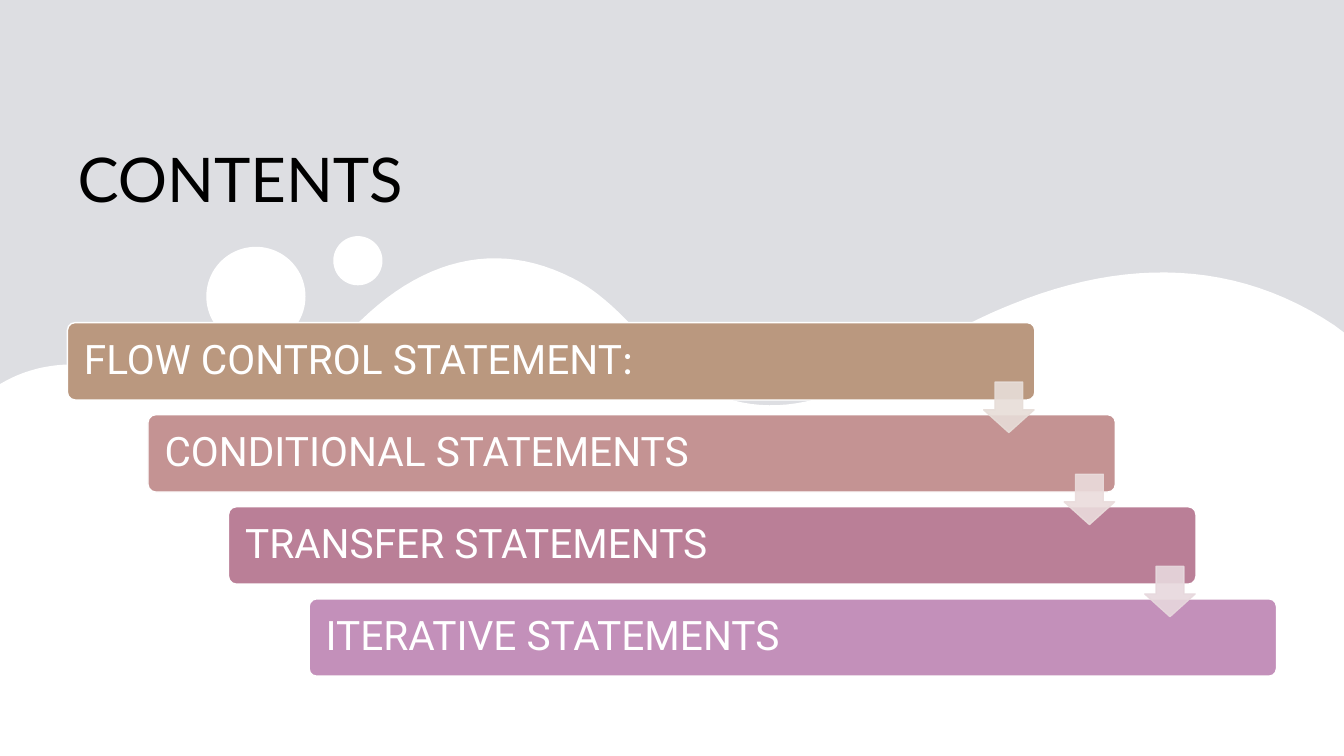
from lxml import etree
from pptx import Presentation
from pptx.dml.color import RGBColor
from pptx.enum.shapes import MSO_SHAPE
from pptx.enum.text import MSO_ANCHOR, MSO_AUTO_SIZE, PP_ALIGN
from pptx.oxml.ns import qn
from pptx.util import Cm, Pt

ROUNDED, ARROW, OVAL = MSO_SHAPE.ROUNDED_RECTANGLE, MSO_SHAPE.DOWN_ARROW, MSO_SHAPE.OVAL
MIDDLE, BOTTOM = MSO_ANCHOR.MIDDLE, MSO_ANCHOR.BOTTOM
LEFT = PP_ALIGN.LEFT

COLORS = {"background": "DDDEE2", "white": "FFFFFF", "title": "000000"}
WIDTH, HEIGHT = 33.87, 19.05


def paint(shape, fill, line=None):
    shape.shadow.inherit = False
    shape.fill.solid()
    shape.fill.fore_color.rgb = RGBColor.from_string(fill)
    if line:
        shape.line.color.rgb = RGBColor.from_string(line)
        shape.line.width = Pt(1)
    else:
        shape.line.fill.background()


def add_span(para, text, font, size, color):
    span = para.add_run()
    span.text = text
    span.font.name = font
    span.font.size = Pt(size)
    span.font.color.rgb = RGBColor.from_string(color)


deck = Presentation()
deck.slide_width, deck.slide_height = Cm(WIDTH), Cm(HEIGHT)
page = deck.slides.add_slide(deck.slide_layouts[5])
page.background.fill.solid()
page.background.fill.fore_color.rgb = RGBColor.from_string(COLORS["background"])

# Wave: each curve is two control points and an end point, in cm
wave_start = (0.18, 9.58)
wave_curves = [
    ((1.12, 9.09), (2.08, 9.12), (3.10, 9.32)),
    ((4.19, 9.55), (5.33, 9.73), (6.45, 9.73)),
    ((7.49, 9.75), (8.20, 8.97), (8.89, 8.28)),
    ((10.57, 6.53), (12.50, 6.02), (14.43, 7.01)),
    ((15.19, 7.39), (15.82, 8.08), (16.41, 8.74)),
    ((17.96, 10.49), (19.86, 10.54), (21.67, 9.63)),
    ((22.94, 8.99), (24.16, 8.20), (25.50, 7.67)),
    ((28.37, 6.50), (31.17, 6.55), (33.63, 8.20)),
]
STEPS = 24
outline = [(0, 9.68), wave_start]
for first, second, end in wave_curves:
    start = outline[-1]
    for step in range(1, STEPS + 1):
        t = step / STEPS
        outline.append(tuple(
            (1 - t) ** 3 * a + 3 * (1 - t) ** 2 * t * b + 3 * (1 - t) * t ** 2 * c + t ** 3 * d
            for a, b, c, d in zip(start, first, second, end)))
outline += [(WIDTH, 8.38), (WIDTH, HEIGHT), (0, HEIGHT)]
points = [(Cm(x), Cm(y)) for x, y in outline]
builder = page.shapes.build_freeform(*points[0])
builder.add_line_segments(points[1:], close=True)
paint(builder.convert_to_shape(), COLORS["white"])

for center_x, center_y, radius in [(6.45, 7.47), (9.02, 6.57)] and [(6.45, 7.47, 1.25), (9.02, 6.57, 0.62)]:
    bubble = page.shapes.add_shape(OVAL, Cm(center_x - radius), Cm(center_y - radius),
                                   Cm(2 * radius), Cm(2 * radius))
    paint(bubble, COLORS["white"])

title = page.shapes.title
title.left, title.top, title.width, title.height = Cm(1.7), Cm(1.55), Cm(30.48), Cm(4.01)
title.text_frame.auto_size = MSO_AUTO_SIZE.NONE
title.text_frame.vertical_anchor = BOTTOM
para = title.text_frame.paragraphs[0]
para.alignment = LEFT
para.line_spacing = 0.9
add_span(para, "CONTENTS", "Lato", 44, COLORS["title"])

# Staircase of bars, with an arrow from each bar to the next
BAR_LEFT, BAR_TOP, STEP_X, STEP_Y = 1.7, 8.13, 2.03, 2.32
bars = [
    ([("FLOW CONTROL STATEMENT", "Roboto"), (":", "Lato")], "BA987F"),
    ([("CONDITIONAL STATEMENTS", "Roboto")], "C49393"),
    ([("TRANSFER STATEMENTS", "Roboto")], "BA7F97"),
    ([("ITERATIVE STATEMENTS", "Roboto")], "C390BA"),
]
for index, (spans, color) in enumerate(bars):
    bar = page.shapes.add_shape(ROUNDED, Cm(BAR_LEFT + index * STEP_X),
                                Cm(BAR_TOP + index * STEP_Y), Cm(24.38), Cm(1.95))
    bar.adjustments[0] = 0.1
    paint(bar, color, COLORS["white"])
    frame = bar.text_frame
    frame.word_wrap = True
    frame.vertical_anchor = MIDDLE
    frame.margin_left = frame.margin_right = Cm(0.36)
    frame.margin_top = frame.margin_bottom = Cm(0.3)
    para = frame.paragraphs[0]
    para.alignment = LEFT
    para.line_spacing = 0.9
    for text, font in spans:
        add_span(para, text, font, 29, COLORS["white"])

for index, color in enumerate(["E7DDD8", "EADCDC", "E7D8DD"]):
    arrow = page.shapes.add_shape(ARROW, Cm(BAR_LEFT + 23.09 + index * STEP_X),
                                  Cm(BAR_TOP + 1.5 + index * STEP_Y), Cm(1.27), Cm(1.27))
    arrow.adjustments[0], arrow.adjustments[1] = 0.55, 0.45
    paint(arrow, color, color)
    for color_node in arrow.element.spPr.iter(qn("a:srgbClr")):
        etree.SubElement(color_node, qn("a:alpha")).set("val", "90000")

deck.save("out.pptx")
